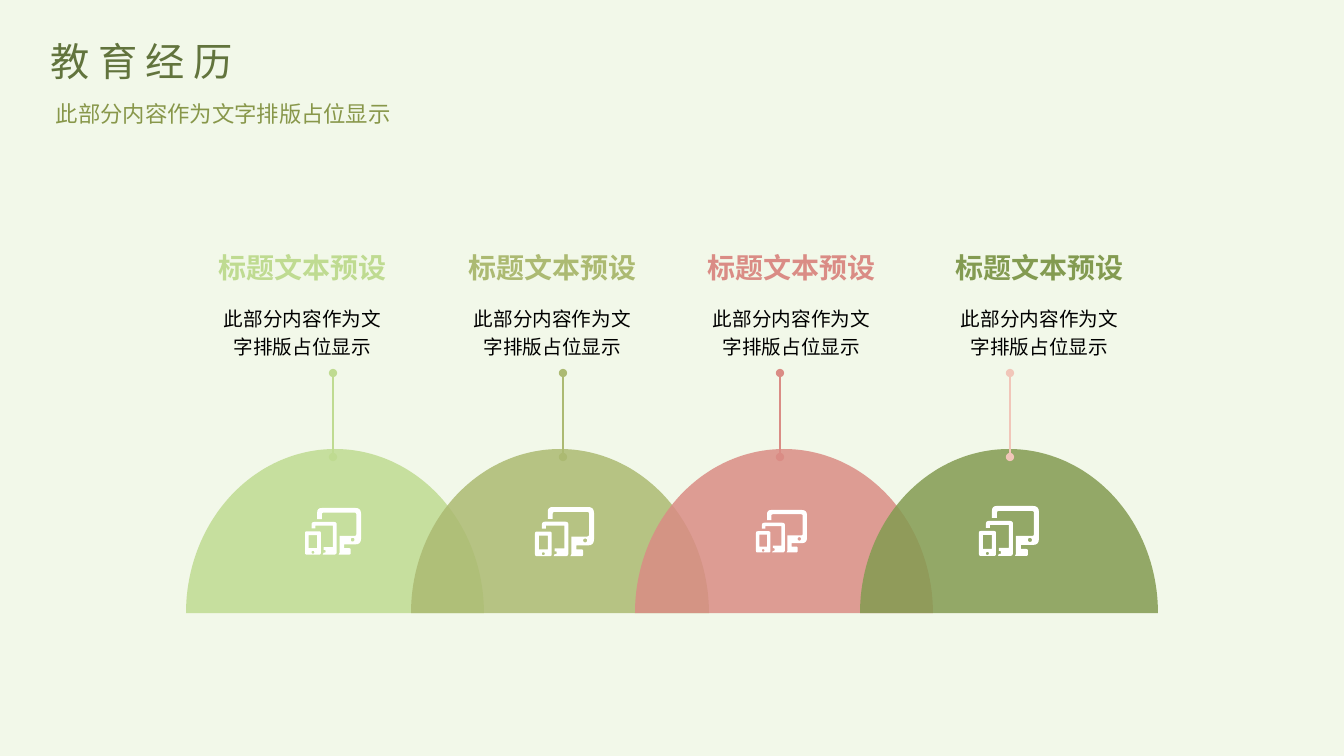
from dataclasses import dataclass
from math import cos, pi, sin

from lxml import etree
from pptx import Presentation
from pptx.dml.color import RGBColor
from pptx.enum import shapes, text
from pptx.oxml.ns import qn

PX = 12192000 / 1344


@dataclass(frozen=True)
class Theme:
    font: str = "Noto Sans CJK SC"
    background: str = "F2F8E9"
    title: str = "62743D"
    subtitle: str = "88974A"
    body: str = "000000"
    icon: str = "FFFFFF"
    lime: str = "BFDB91"
    olive: str = "ACBA72"
    rose: str = "DA8C85"
    moss: str = "839B51"
    blush: str = "F1C6B9"
    title_size: int = 28
    subtitle_size: int = 16
    heading_size: int = 20
    body_size: int = 14


THEME = Theme()
PLACEHOLDER = "此部分内容作为文字排版占位显示"

# dome colour, stem colour, text left, stem x, icon (left, top, width)
STAGES = [
    (THEME.lime, THEME.lime, 215, 333, (305, 508, 56)),
    (THEME.olive, THEME.olive, 465, 563, (535, 507, 59)),
    (THEME.rose, THEME.rose, 704, 780, (756, 510, 51)),
    (THEME.moss, THEME.blush, 952, 1010, (979, 506, 60)),
]


def emu(px):
    return round(px * PX)


def rgb(value):
    return RGBColor.from_string(value)


def add_text(slide, content, left, top, width, height, *, size, color, bold=False,
             align=text.PP_ALIGN.LEFT, anchor=text.MSO_ANCHOR.TOP, wrap=True,
             inset=True, grow=False, line=None, tracking=None):
    sp = slide.shapes.add_textbox(emu(left), emu(top), emu(width), emu(height))
    tf = sp.text_frame
    tf.word_wrap = wrap
    tf.vertical_anchor = anchor
    if grow:
        tf.auto_size = text.MSO_AUTO_SIZE.SHAPE_TO_FIT_TEXT
    if not inset:
        tf.margin_left = tf.margin_top = tf.margin_right = tf.margin_bottom = 0
    p = tf.paragraphs[0]
    p.alignment = align
    if line:
        p.line_spacing = line
    r = p.add_run()
    r.text = content
    r.font.size = emu_size = size * 12700
    r.font.bold = bold
    r.font.color.rgb = rgb(color)
    r.font.name = THEME.font
    r_pr = r.font._element
    etree.SubElement(r_pr, qn("a:ea")).set("typeface", THEME.font)
    if tracking:
        r_pr.set("spc", str(tracking * 100))
    return sp


def add_outline(slide, contours, color, opacity=100):
    """Fill closed contours given in px; inner contours become holes."""
    builder = slide.shapes.build_freeform(*map(emu, contours[0][0]))
    for i, contour in enumerate(contours):
        points = [(emu(x), emu(y)) for x, y in contour]
        if i:
            builder.move_to(*points[0])
        builder.add_line_segments(points[1:], close=True)
    sp = builder.convert_to_shape()
    sp.shadow.inherit = False
    sp.line.fill.background()
    sp.fill.solid()
    sp.fill.fore_color.rgb = rgb(color)
    if opacity < 100:
        clr = sp._element.spPr.find(qn("a:solidFill"))[0]
        etree.SubElement(clr, qn("a:alpha")).set("val", str(opacity * 1000))


def add_dome(slide, left, color):
    rx, ry, base = 149, 164, 613
    arc = [(left + rx - rx * cos(pi * i / 90), base - ry * sin(pi * i / 90))
           for i in range(91)]
    add_outline(slide, [arc], color, opacity=85)


def add_stem(slide, x, color):
    line = slide.shapes.add_connector(
        shapes.MSO_CONNECTOR.STRAIGHT, emu(x), emu(457), emu(x), emu(373))
    line.line.color.rgb = rgb(color)
    line.line.width = 12700
    ln = line.line._get_or_add_ln()
    for end in ("a:headEnd", "a:tailEnd"):
        etree.SubElement(ln, qn(end)).set("type", "oval")
    etree.SubElement(line._element.spPr, qn("a:effectLst"))


def round_corners(vertices):
    """Turn (x, y, radius) vertices into points with curved corners."""
    points = []
    for i, (x, y, radius) in enumerate(vertices):
        if not radius:
            points.append((x, y))
            continue
        ends = []
        for nx, ny, _ in (vertices[i - 1], vertices[(i + 1) % len(vertices)]):
            t = radius / max(abs(nx - x), abs(ny - y))
            ends.append((x + (nx - x) * t, y + (ny - y) * t))
        (ax, ay), (bx, by) = ends
        for t in (0, 0.25, 0.5, 0.75, 1):
            a, v, b = (1 - t) ** 2, 2 * t * (1 - t), t * t
            points.append((a * ax + v * x + b * bx, a * ay + v * y + b * by))
    return points


def box(left, top, right, bottom, radius=0):
    return [(left, top, radius), (right, top, radius),
            (right, bottom, radius), (left, bottom, radius)]


ICON_WIDTH = 60
TABLET = [(7, 15, 3), (34, 15, 3), (34, 50, 3), (19, 50, 0), (20, 48, 0),
          (22, 48, 1), (22, 45, 1), (20, 45, 0), (20, 42, 0), (30, 42, 0),
          (30, 19, 0), (11, 19, 0), (11, 22, 0), (7, 22, 0)]
MONITOR = [(13, 0, 5), (60, 0, 6), (60, 39, 6), (42, 39, 0), (42, 43, 0),
           (49, 43, 2), (49, 50, 2), (36, 50, 0), (37, 48, 0), (37, 30, 0),
           (55, 30, 2), (55, 5, 2), (18, 5, 2), (18, 12, 0), (13, 12, 0)]
DEVICES = [box(0, 25, 17, 50, 2), box(4, 29, 13, 43), box(7, 46, 10, 49, 1.5),
           TABLET, MONITOR, box(49, 32, 53, 36, 2)]


def add_devices_icon(slide, left, top, width):
    k = width / ICON_WIDTH
    contours = [[(left + x * k, top + y * k) for x, y in round_corners(device)]
                for device in DEVICES]
    add_outline(slide, contours, THEME.icon)


def add_caption(slide, left, color):
    centred = dict(align=text.PP_ALIGN.CENTER, anchor=text.MSO_ANCHOR.MIDDLE, inset=False)
    add_text(slide, PLACEHOLDER, left, 299, 175, 62, size=THEME.body_size,
             color=THEME.body, line=1.2, **centred)
    add_text(slide, "标题文本预设", left, 251, 175, 32, size=THEME.heading_size,
             color=color, bold=True, wrap=False, **centred)


def add_header(slide):
    add_text(slide, "教育经历", 41, 32, 277, 57, size=THEME.title_size,
             color=THEME.title, tracking=6, grow=True)
    add_text(slide, PLACEHOLDER, 41, 90, 360, 40, size=THEME.subtitle_size,
             color=THEME.subtitle, align=text.PP_ALIGN.RIGHT, wrap=False,
             grow=True, line=1.2)


def main():
    prs = Presentation()
    prs.slide_width, prs.slide_height = emu(1344), emu(756)
    slide = prs.slides.add_slide(prs.slide_layouts[6])
    slide.background.fill.solid()
    slide.background.fill.fore_color.rgb = rgb(THEME.background)

    for i, (dome, _, text_left, _, _) in enumerate(STAGES):
        add_caption(slide, text_left, dome)
        add_dome(slide, 186 + round(i * 674 / 3), dome)
    for _, stem, _, stem_x, icon in STAGES:
        add_stem(slide, stem_x, stem)
        add_devices_icon(slide, *icon)
    add_header(slide)
    prs.save("out.pptx")


if __name__ == "__main__":
    main()
